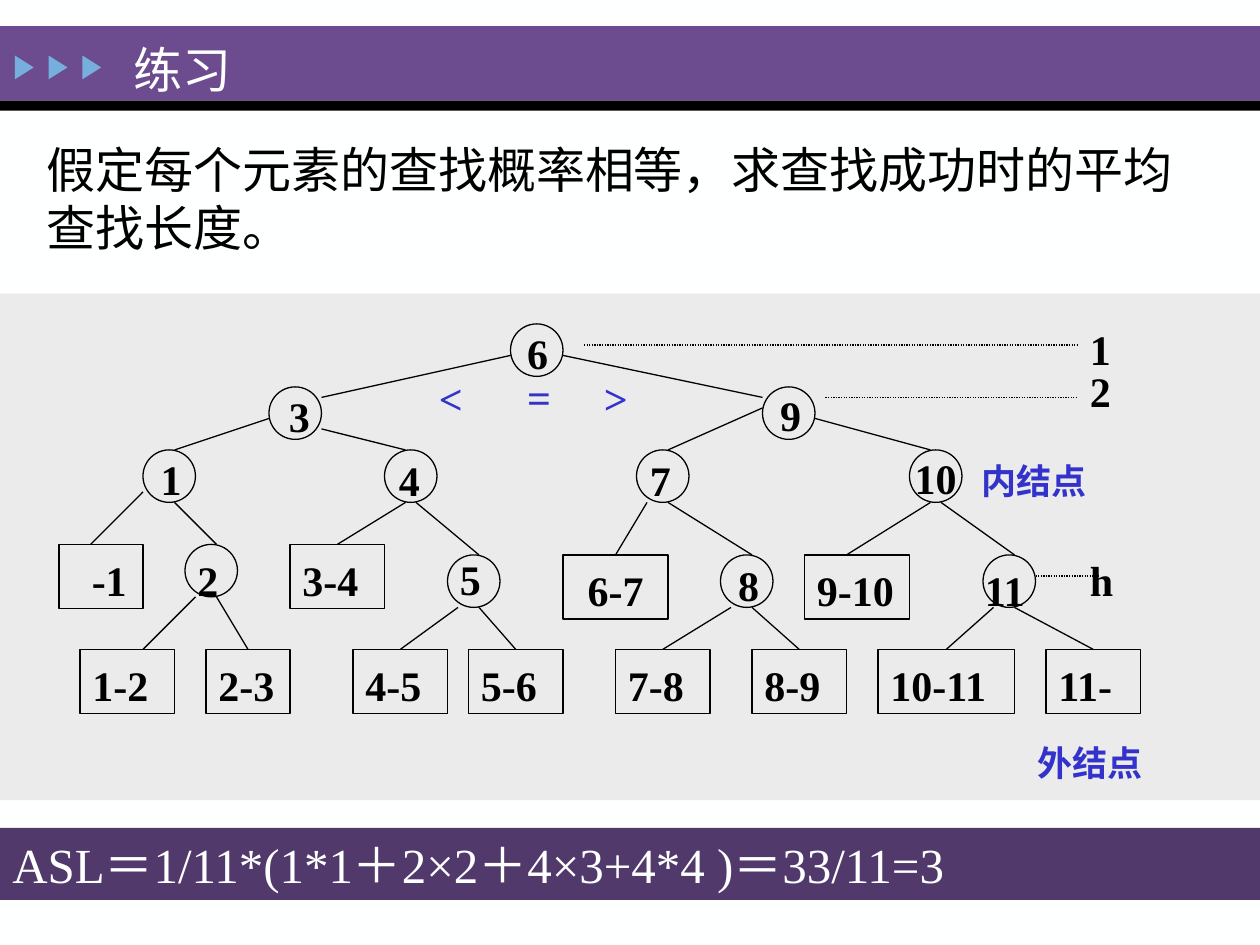
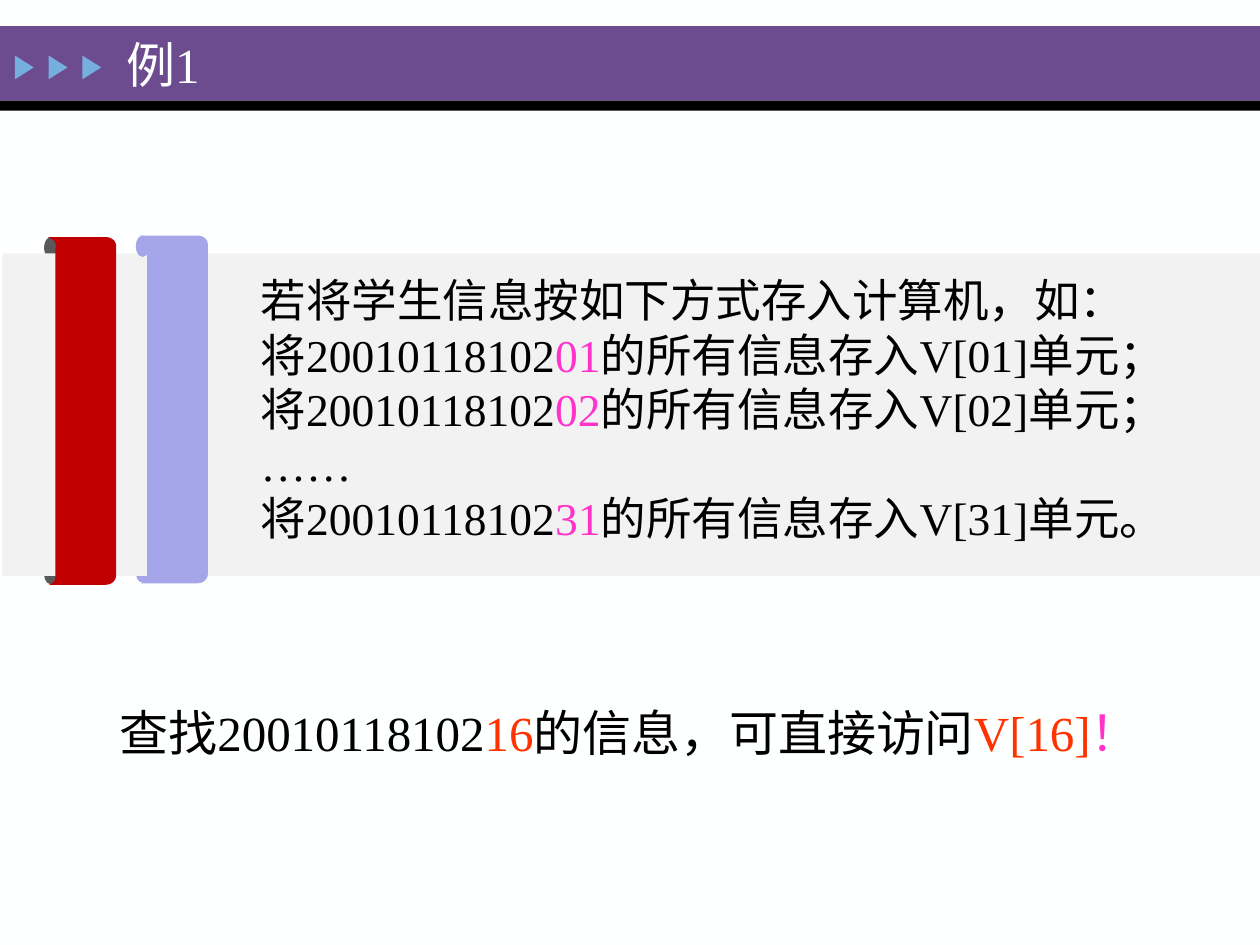
from dataclasses import dataclass

from lxml import etree
from pptx import Presentation
from pptx import util as u
from pptx.dml.color import RGBColor
from pptx.enum import dml, shapes, text
from pptx.oxml.ns import qn

KIND = shapes.MSO_SHAPE
WIDE, HIGH = 25.4, 19.05


@dataclass(frozen=True)
class Theme:
    font: str = "Times New Roman"
    paper: str = "FEFFFF"
    ink: str = "000000"
    band: str = "6C4C8F"
    arrow: str = "76AEDD"
    panel: str = "EBEBEB"
    strip: str = "F2F2F2"
    answer: str = "51396B"
    blue: str = "3333CC"
    pink: str = "FF33CC"
    orange: str = "FF3300"
    red: str = "C00000"
    lilac: str = "A5A5E9"
    gray: str = "595959"
    head: int = 28
    list: int = 26
    node: int = 24
    note: int = 20
    line: float = 0.75


def frame(*at):
    return [u.Cm(v) for v in at]


class Deck:
    def __init__(self, theme):
        self.theme = theme
        self.show = Presentation()
        self.show.slide_width, self.show.slide_height = frame(WIDE, HIGH)
        self.slide = None

    def page(self, title, at):
        """Start a slide with the shared band, arrows and title."""
        t = self.theme
        self.slide = self.show.slides.add_slide(self.show.slide_layouts[1])
        back = self.slide.background.fill
        back.solid()
        back.fore_color.rgb = RGBColor.from_string(t.paper)
        self.shape(KIND.RECTANGLE, (0, 0.53, WIDE, 1.5), t.band)
        self.shape(KIND.RECTANGLE, (0, 2.03, WIDE, 0.2), t.ink)
        for i in range(3):
            mark = self.shape(KIND.ISOSCELES_TRIANGLE,
                              (0.25 + 0.68 * i, 1.17, 0.48, 0.38), t.arrow)
            mark.rotation = 90
        self.holder(0, at, [title], t.head, t.paper)

    def style(self, item, fill=None, line=None):
        item.shadow.inherit = False
        if fill:
            item.fill.solid()
            item.fill.fore_color.rgb = RGBColor.from_string(fill)
        else:
            item.fill.background()
        if line:
            item.line.color.rgb = RGBColor.from_string(line)
            item.line.width = u.Pt(self.theme.line)
        else:
            item.line.fill.background()
        return item

    def shape(self, kind, at, fill=None, line=None):
        item = self.slide.shapes.add_shape(kind, *frame(*at))
        return self.style(item, fill, line)

    def words(self, item, lines, size, color, bold=False, middle=False,
              center=False):
        """Fill a shape; a line is a string or a list of (string, colour)."""
        box = item.text_frame
        box.word_wrap = True
        box.auto_size = text.MSO_AUTO_SIZE.NONE
        box.vertical_anchor = (text.MSO_ANCHOR.MIDDLE if middle
                               else text.MSO_ANCHOR.TOP)
        for i, parts in enumerate(lines):
            para = box.paragraphs[0] if i == 0 else box.add_paragraph()
            para.alignment = text.PP_ALIGN.CENTER if center else text.PP_ALIGN.LEFT
            para.space_before = u.Pt(0)
            if isinstance(parts, str):
                parts = [(parts, color)]
            for part, tint in parts:
                run = para.add_run()
                run.text = part
                run.font.name = self.theme.font
                run.font.size = u.Pt(size)
                run.font.bold = bold
                run.font.color.rgb = RGBColor.from_string(tint)
        return box

    def holder(self, index, at, lines, size, color, middle=True, hang=0):
        """Place a title (0) or body (1) placeholder on top, without bullets."""
        item = self.slide.placeholders[index]
        item.left, item.top, item.width, item.height = frame(*at)
        self.slide.shapes._spTree.append(item._element)
        box = self.words(item, lines, size, color, middle=middle)
        for para in box.paragraphs:
            props = para._p.get_or_add_pPr()
            props.set("marL", str(u.Cm(hang)))
            props.set("indent", str(u.Cm(-hang)))
            etree.SubElement(props, qn("a:buNone"))

    def label(self, line, at, size, color, bold=True):
        item = self.slide.shapes.add_textbox(*frame(*at))
        return self.words(item, [line], size, color, bold)

    def line(self, ends, dots=False):
        item = self.slide.shapes.add_connector(
            shapes.MSO_CONNECTOR.STRAIGHT, *frame(*ends))
        item.line.color.rgb = RGBColor.from_string(self.theme.ink)
        item.line.width = u.Pt(self.theme.line)
        if dots:
            item.line.dash_style = dml.MSO_LINE.ROUND_DOT
        etree.SubElement(item._element.spPr, qn("a:effectLst"))
        return item

    def free(self, points, fill):
        spots = [frame(*p) for p in points]
        pen = self.slide.shapes.build_freeform(*spots[0])
        pen.add_line_segments(spots[1:], close=True)
        return self.style(pen.convert_to_shape(), fill)


# The search tree lies on a grid of twelve steps to the inch
STEP, LEFT, TOP = 2.54 / 12, 1.19, 6.53

# label, column, row, then the shift of its text
NODES = [
    ("6", 43, 0, 0.4, -0.6), ("3", 20, 6, 0.7, -0.6), ("9", 67, 6, 0.5, -0.7),
    ("1", 8, 12, 0.5, -0.6), ("4", 31, 12, 0.2, -0.5), ("7", 55, 12, 0.1, -0.5),
    ("10", 81, 12, -0.7, -0.7), ("2", 12, 21, 0, 0), ("5", 37, 22, 0, -1.1),
    ("8", 63, 22, 0.5, -0.5), ("11", 88, 22, -1, 0),
]
# label, column, row, width
LEAVES = [
    ("-1", 0, 21, 8), ("3-4", 22, 21, 9), ("6-7", 48, 22, 10),
    ("9-10", 71, 22, 10), ("1-2", 2, 31, 9), ("2-3", 14, 31, 8),
    ("4-5", 28, 31, 9), ("5-6", 39, 31, 9), ("7-8", 53, 31, 9),
    ("8-9", 66, 31, 9), ("10-11", 78, 31, 13), ("11-", 94, 31, 9),
]
EDGES = [
    (43, 3, 25, 7), (48, 3, 67, 7), (20, 9, 11, 12), (25, 10, 33, 12),
    (67, 8, 58, 12), (72, 9, 83, 12), (8, 16, 3, 21), (11, 17, 15, 21),
    (33, 17, 27, 21), (34, 17, 40, 22), (56, 17, 53, 22), (58, 17, 66, 22),
    (83, 17, 75, 22), (84, 17, 91, 22), (13, 26, 8, 31), (15, 26, 18, 31),
    (38, 27, 32, 31), (40, 27, 44, 31), (64, 27, 57, 31), (66, 27, 71, 31),
    (89, 27, 84, 31), (91, 27, 99, 31),
]
LEVELS = [(50, 2, 97, 2), (73, 7, 97, 7), (93, 24, 99, 24)]
DEPTHS = [("1", 97, -1), ("2", 97, 3), ("h", 97, 21)]
SIGNS = [("<", 35, 3.7), ("=", 43.4, 3.6), (">", 50.7, 3.7)]
NOTES = [("外结点", 92, 38.8), ("内结点", 86.7, 12)]


def spot(col, row):
    return LEFT + col * STEP, TOP + row * STEP


def cell(col, row, wide, high):
    return *spot(col, row), wide * STEP, high * STEP


def tree(deck):
    t = deck.theme
    # Inner nodes
    for name, col, row, dx, dy in NODES:
        deck.shape(KIND.OVAL, cell(col, row, 5, 5), line=t.ink)
        box = deck.label(name, cell(col + dx, row + dy, 7, 6), t.node, t.ink)
        box.margin_top = u.Cm(0.2)
    # Outer nodes
    tops = []
    for name, col, row, wide in LEAVES:
        leaf = deck.shape(KIND.RECTANGLE, cell(col, row, wide, 6.1), line=t.ink)
        box = deck.words(leaf, [name], t.node, t.ink, True, center=name == "6-7")
        box.margin_top = u.Cm(0.2)
        if name == "-1":
            box.margin_left = u.Cm(0.66)
        tops.append((col + wide / 2, row, leaf))
    # Branches, joined to the leaf they meet
    for x1, y1, x2, y2 in EDGES:
        edge = deck.line((*spot(x1, y1), *spot(x2, y2)))
        for mid, row, leaf in tops:
            if row == y2 and abs(mid - x2) <= 0.5:
                edge.end_connect(leaf, 0)
    # Levels and labels
    for x1, y1, x2, y2 in LEVELS:
        deck.line((*spot(x1, y1), *spot(x2, y2)), dots=True)
    for group, size, color, wide in ((DEPTHS, t.node, t.ink, 6),
                                     (SIGNS, t.node, t.blue, 7),
                                     (NOTES, t.note, t.blue, 13)):
        for name, col, row in group:
            box = deck.label(name, cell(col, row, wide, 6), size, color)
            box.margin_top = u.Cm(0.2)


def drill(deck):
    t = deck.theme
    deck.page("练习", (2.44, 0.71, 18.57, 1.35))
    deck.shape(KIND.RECTANGLE, (0, 5.92, WIDE, 10.21), t.panel)
    tree(deck)
    bar = deck.shape(KIND.RECTANGLE, (0, 16.69, WIDE, 1.45), t.answer)
    deck.words(bar, ["ASL＝1/11*(1*1＋2×2＋4×3+4*4 )＝33/11=3"],
               t.head, t.paper, middle=True)
    deck.holder(1, (0.69, 2.62, 24.05, 2.74),
                ["假定每个元素的查找概率相等，求查找成功时的平均查找长度。"],
                t.head, t.ink)


def curve(a, b, c, d, count=10):
    """Points of a Bezier curve."""
    for i in range(count + 1):
        s = i / count
        r = 1 - s
        yield tuple(r**3 * p + 3 * r * r * s * q + 3 * r * s * s * v + s**3 * w
                    for p, q, v, w in zip(a, b, c, d))


# Outline of a rolled ribbon
RIBBON = [
    *curve((1.12, 5.03), (1.19, 4.78), (0.86, 4.78), (0.99, 4.78)),
    *curve((2.13, 4.78), (2.24, 4.78), (2.34, 4.85), (2.34, 4.95)),
    *curve((2.34, 11.61), (2.34, 11.71), (2.24, 11.79), (2.13, 11.79)),
    *curve((1.02, 11.79), (0.91, 11.79), (1.14, 11.79), (1.12, 11.61)),
]
SHIFT = (1.85, -0.03)


def sample(deck):
    t = deck.theme
    deck.page("例1", (2.29, 0.58, 6.58, 1.42))

    def curl(top, color, dx=0, dy=0):
        deck.shape(KIND.OVAL, (0.89 + dx, top + dy, 0.27, 0.43), color)

    # Ribbons wrapped around the strip
    curl(11.35, t.lilac, *SHIFT)
    curl(11.35, t.gray)
    curl(4.78, t.gray)
    deck.shape(KIND.RECTANGLE, (0.05, 5.11, WIDE - 0.05, 6.5), t.strip)
    deck.free(RIBBON, t.red)
    curl(4.78, t.lilac, *SHIFT)
    deck.free([(x + SHIFT[0], y + SHIFT[1]) for x, y in RIBBON], t.lilac)

    # Storage rule
    def store(num, end):
        return [("将20010118102", t.ink), (num, t.pink),
                (f"的所有信息存入V[{num}]单元{end}", t.ink)]

    deck.holder(1, (5, 5.36, 19.61, 5.82),
                ["若将学生信息按如下方式存入计算机，如：", store("01", "；"),
                 store("02", "；"), "……", store("31", "。")],
                t.list, t.ink, middle=False, hang=1.57)
    # Lookup
    box = deck.label([("查找20010118102", t.ink), ("16", t.orange),
                      ("的信息，可直接访问", t.ink), ("V[16]", t.orange),
                      ("！", t.pink)],
                     (2.16, 13.56, 22.43, 1.75), t.head, t.ink, bold=False)
    box.paragraphs[0].line_spacing = 1.4


def main():
    deck = Deck(Theme())
    drill(deck)
    sample(deck)
    deck.show.save("out.pptx")


if __name__ == "__main__":
    main()
